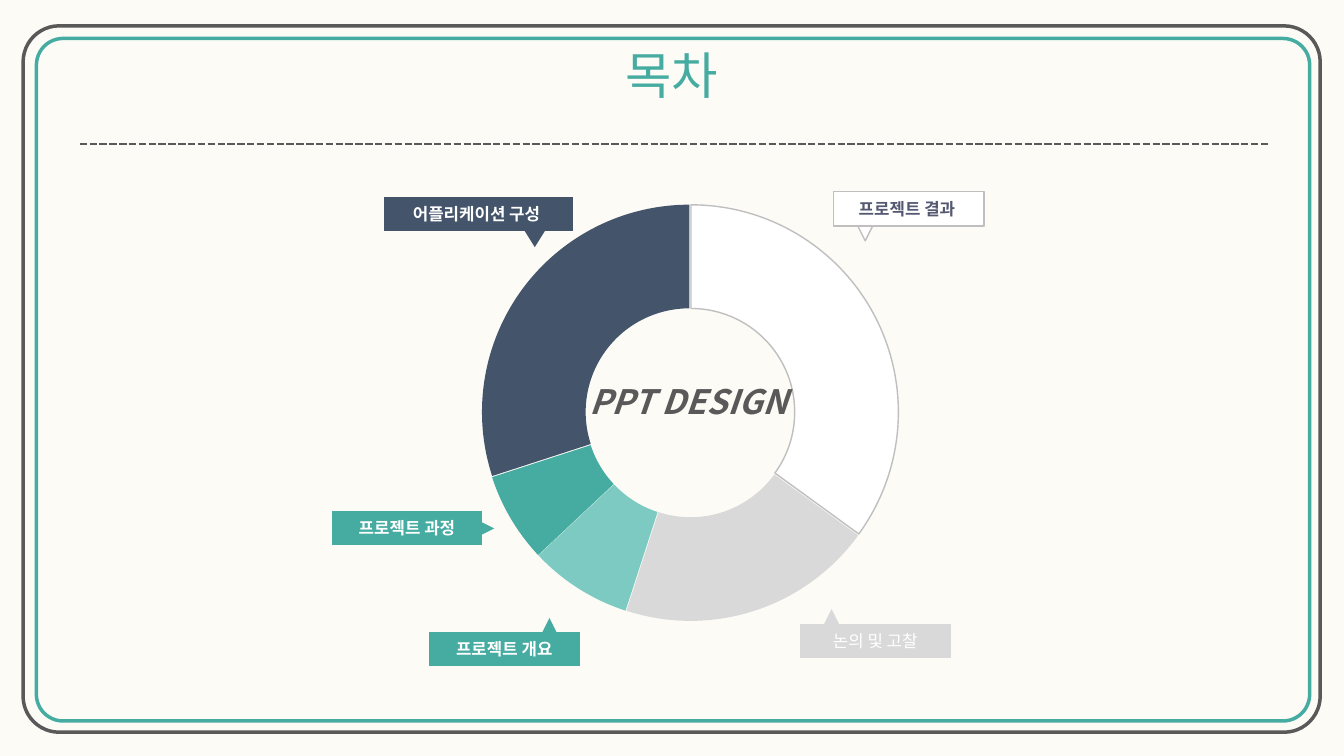
"""Build the contents slide: a doughnut chart with five callouts in a double frame."""
from lxml import etree
from pptx import Presentation
from pptx import util as u
from pptx.chart.data import CategoryChartData
from pptx.dml.color import RGBColor
from pptx.enum import chart as charts, dml, shapes, text
from pptx.oxml import ns

CREAM = RGBColor(0xFC, 0xFB, 0xF6)
TEAL = RGBColor(0x46, 0xAC, 0xA1)
MINT = RGBColor(0x7C, 0xCA, 0xC1)
NAVY = RGBColor(0x44, 0x54, 0x6A)
SLATE = RGBColor(0x54, 0x58, 0x71)
CHARCOAL = RGBColor(0x59, 0x59, 0x59)
SILVER = RGBColor(0xBF, 0xBF, 0xBF)
PALE = RGBColor(0xD9, 0xD9, 0xD9)
WHITE = RGBColor(0xFF, 0xFF, 0xFF)
BLACK = RGBColor(0, 0, 0)

PIECES = [(35, WHITE), (20, PALE), (8, MINT), (7, TEAL), (30, NAVY)]

CALLOUTS = [
    ("프로젝트 결과 ", (595.5, 137, 107.5), (610, 156, 16), 180, WHITE, SLATE, True, SILVER),
    ("논의 및 고찰", (571.5, 445.5, 107.5), (586, 435, 16), 0, PALE, WHITE, False, None),
    ("프로젝트 개요", (306.5, 451.5, 107.5), (384.5, 441.5, 16), 0, TEAL, WHITE, True, None),
    ("프로젝트 과정", (237, 365, 107.5), (337, 369.5, 16), 90, TEAL, WHITE, True, None),
    ("어플리케이션 구성 ", (274.5, 140.5, 134.5), (372, 160.5, 20), 180, NAVY, WHITE, True, None),
]


class ContentsSlide:
    """Hold the font and the current slide, and add styled elements to it."""

    font_name = "Noto Sans CJK KR"
    box_height = 24.5
    pointer_height = 16

    def __init__(self, presentation):
        self.slide = presentation.slides.add_slide(presentation.slide_layouts[5])
        self.slide.background.fill.solid()
        self.slide.background.fill.fore_color.rgb = CREAM

    def set_text(self, shape, content, size, color, bold=False, italic=False, wrap=True,
                 anchor=text.MSO_ANCHOR.MIDDLE):
        frame = shape.text_frame
        frame.text = content
        frame.word_wrap = wrap
        frame.vertical_anchor = anchor
        paragraph = frame.paragraphs[0]
        paragraph.alignment = text.PP_ALIGN.CENTER
        for run in paragraph.runs:
            font = run.font
            font.name, font.size = self.font_name, u.Pt(size)
            font.bold, font.italic = bold, italic
            font.color.rgb = color
            east_asian = etree.Element(ns.qn("a:ea"), typeface=self.font_name)
            run._r.rPr.find(ns.qn("a:latin")).addnext(east_asian)

    def title(self, content, left, top, width, height):
        shape = self.slide.shapes.title
        shape.left, shape.top = u.Pt(left), u.Pt(top)
        shape.width, shape.height = u.Pt(width), u.Pt(height)
        self.set_text(shape, content, 36, TEAL, wrap=False, anchor=text.MSO_ANCHOR.TOP)
        shape.text_frame.auto_size = text.MSO_AUTO_SIZE.NONE

    def label(self, content, left, top, width, height):
        shape = self.slide.shapes.add_textbox(u.Pt(left), u.Pt(top), u.Pt(width), u.Pt(height))
        self.set_text(shape, content, 24, CHARCOAL, bold=True, italic=True,
                      anchor=text.MSO_ANCHOR.TOP)

    def shape(self, kind, left, top, width, height, fill=None, line=None, line_width=1):
        shape = self.slide.shapes.add_shape(
            kind, u.Pt(left), u.Pt(top), u.Pt(width), u.Pt(height))
        shape.shadow.inherit = False
        if fill is None:
            shape.fill.background()
        else:
            shape.fill.solid()
            shape.fill.fore_color.rgb = fill
        if line is None:
            shape.line.fill.background()
        else:
            shape.line.color.rgb = line
            shape.line.width = u.Pt(line_width)
        return shape

    def frame(self, left, top, width, height, rounding, color):
        shape = self.shape(shapes.MSO_SHAPE.ROUNDED_RECTANGLE, left, top, width, height,
                           line=color, line_width=2.5)
        shape.adjustments[0] = rounding

    def dashed_rule(self, left, right, top):
        rule = self.slide.shapes.add_connector(
            shapes.MSO_CONNECTOR.STRAIGHT, u.Pt(left), u.Pt(top), u.Pt(right), u.Pt(top))
        rule.line.color.rgb = CHARCOAL
        rule.line.width = u.Pt(1.75)
        rule.line.dash_style = dml.MSO_LINE.SQUARE_DOT
        etree.SubElement(rule._element.spPr, ns.qn("a:effectLst"))

    def callout(self, content, box, pointer, rotation, fill, color, bold, line):
        left, top, width = pointer
        triangle = self.shape(shapes.MSO_SHAPE.ISOSCELES_TRIANGLE, left, top, width,
                              self.pointer_height, fill, line)
        triangle.rotation = rotation
        left, top, width = box
        process = self.shape(shapes.MSO_SHAPE.FLOWCHART_PROCESS, left, top, width,
                             self.box_height, fill, line)
        self.set_text(process, content, 12, color, bold)

    def doughnut(self, left, top, width, height, pieces):
        data = CategoryChartData()
        data.categories = [str(number) for number in range(1, len(pieces) + 1)]
        data.add_series("Series 1", [value for value, color in pieces])
        chart = self.slide.shapes.add_chart(
            charts.XL_CHART_TYPE.DOUGHNUT, u.Pt(left), u.Pt(top), u.Pt(width), u.Pt(height),
            data).chart
        chart.has_legend = chart.has_title = False
        chart.font.name, chart.font.size = self.font_name, u.Pt(10)
        chart.font.color.rgb = BLACK
        plot = chart.plots[0]
        plot.vary_by_categories = True
        plot._element.find(ns.qn("c:holeSize")).set("val", "70")
        series = plot.series[0]
        for index, (value, color) in enumerate(pieces):
            point = series.points[index].format
            point.fill.solid()
            point.fill.fore_color.rgb = color
            if color == WHITE:
                point.line.color.rgb = SILVER
                point.line.width = u.Pt(1)
            else:
                point.line.fill.background()
        explosion = etree.Element(ns.qn("c:explosion"), val="1")
        series._element.find(ns.qn("c:dPt")).addprevious(explosion)


def main():
    presentation = Presentation()
    presentation.slide_width, presentation.slide_height = u.Pt(960), u.Pt(540)
    contents = ContentsSlide(presentation)
    contents.frame(26, 27.5, 909.5, 487.5, 0.039, TEAL)
    contents.frame(16.5, 18.5, 926.5, 504.5, 0.051, CHARCOAL)
    contents.title("목차", 436.5, 28, 87, 51)
    contents.dashed_rule(57, 907, 103)
    contents.doughnut(255, 136, 476, 317.5, PIECES)
    for callout in CALLOUTS:
        contents.callout(*callout)
    contents.label("PPT DESIGN", 388, 268.5, 207.5, 36)
    presentation.save("out.pptx")


if __name__ == "__main__":
    main()
